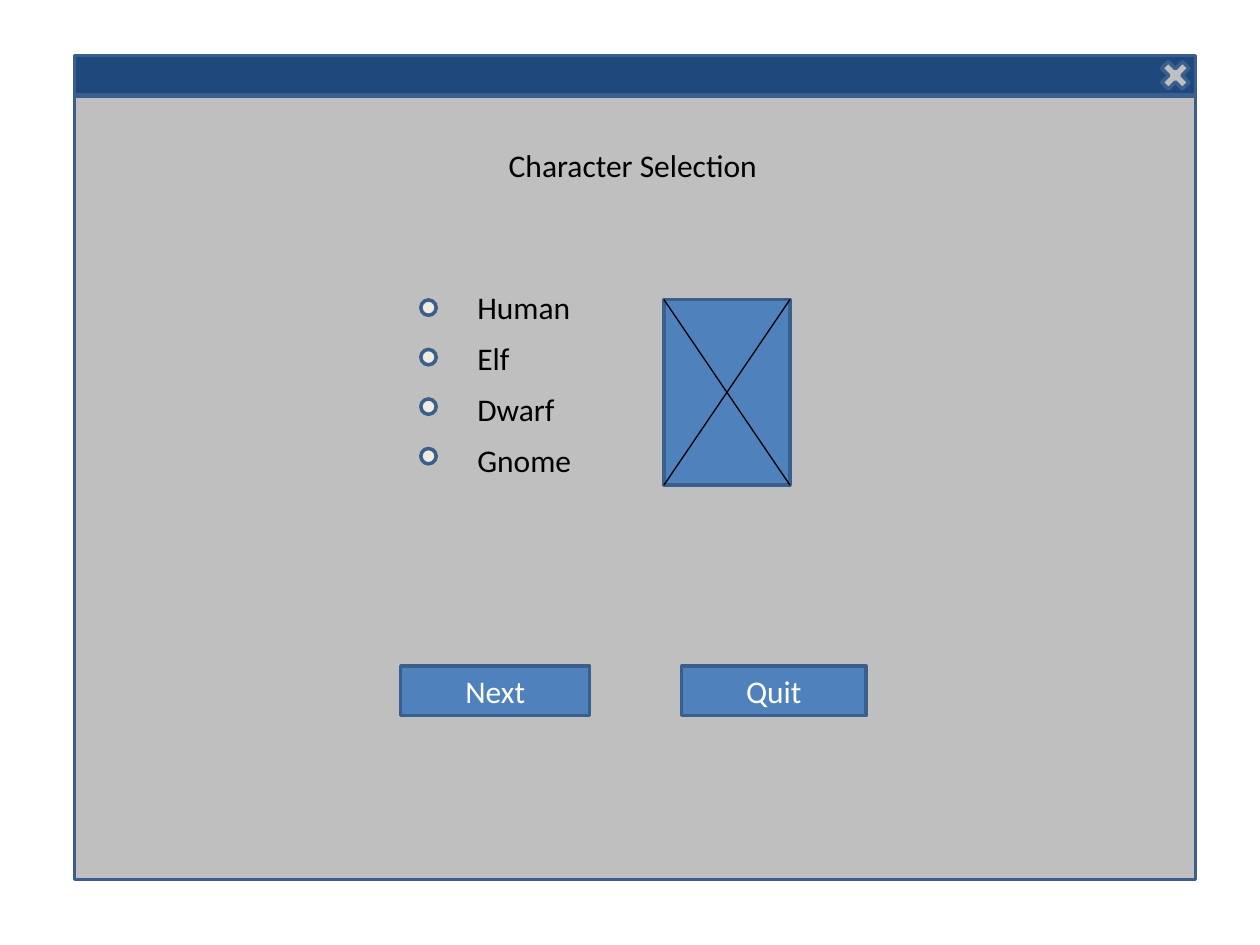
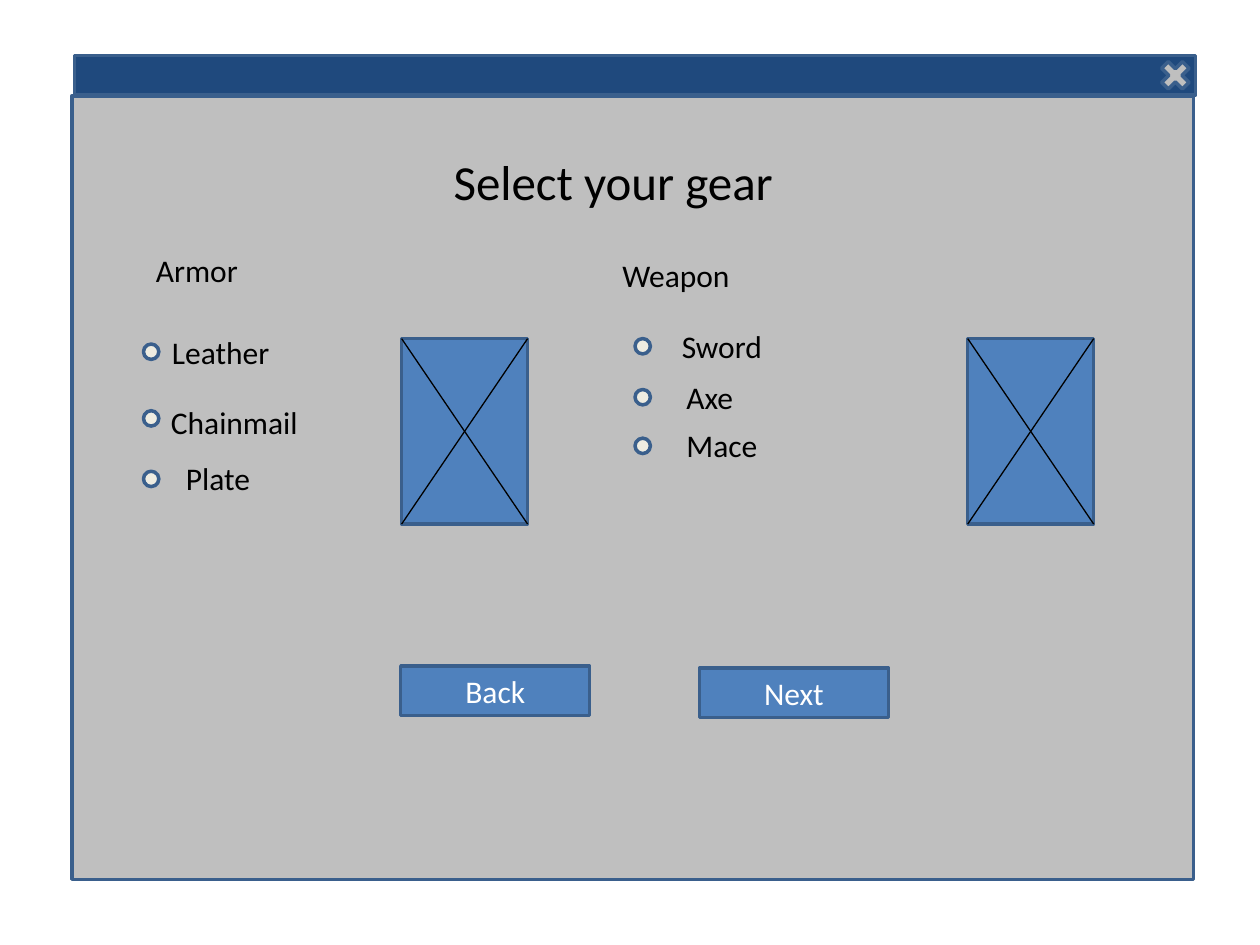
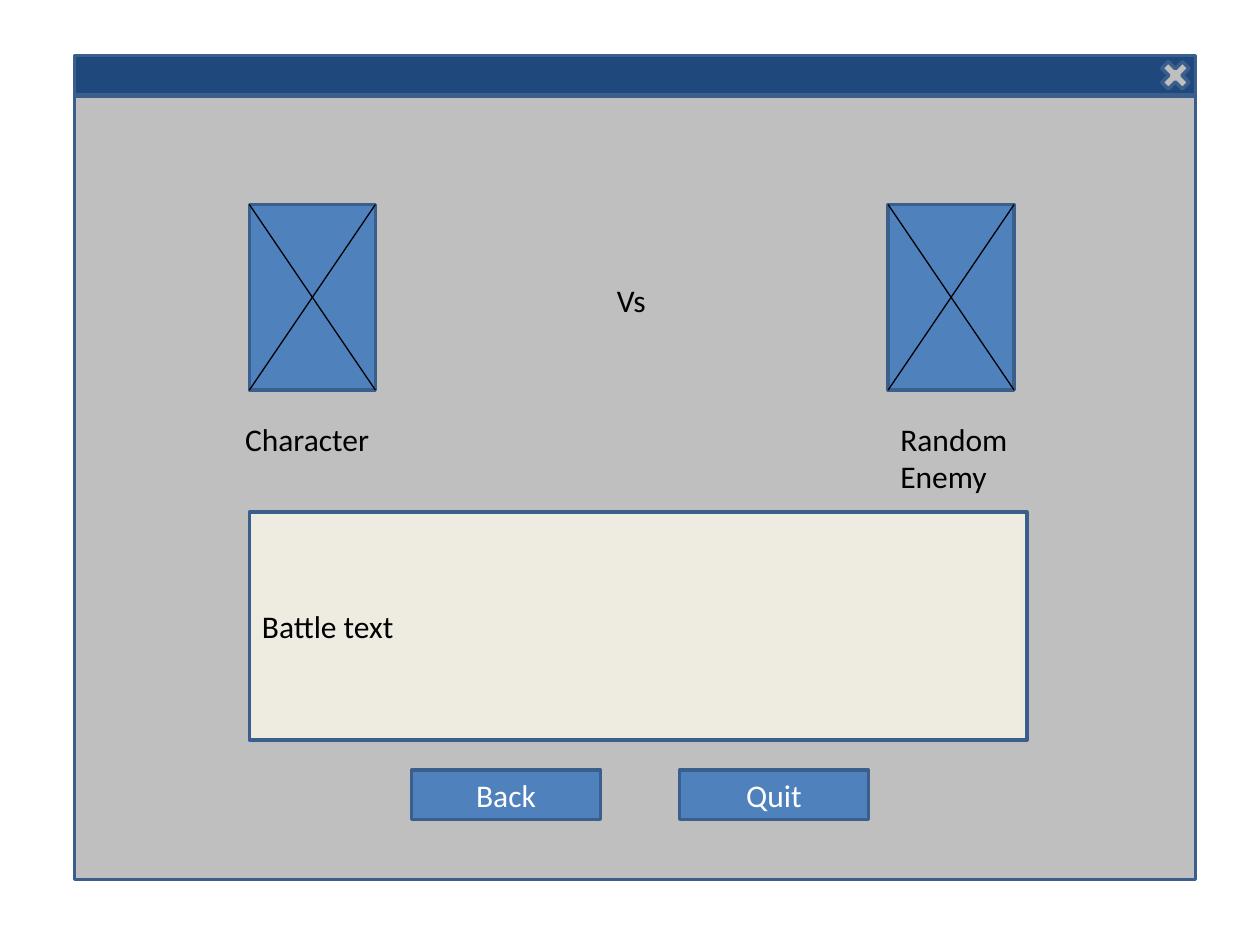
from lxml import etree
from pptx import Presentation
from pptx.dml.color import RGBColor
from pptx.enum.shapes import MSO_CONNECTOR, MSO_SHAPE
from pptx.enum.text import MSO_ANCHOR, MSO_AUTO_SIZE, PP_ALIGN
from pptx.oxml.ns import qn
from pptx.util import Pt

RECTANGLE = MSO_SHAPE.RECTANGLE
CROSS = MSO_SHAPE.MATH_MULTIPLY
DOT = MSO_SHAPE.FLOWCHART_CONNECTOR
STRAIGHT = MSO_CONNECTOR.STRAIGHT
LEFT, CENTER = PP_ALIGN.LEFT, PP_ALIGN.CENTER
TOP, MIDDLE = MSO_ANCHOR.TOP, MSO_ANCHOR.MIDDLE
FIT_SHAPE = MSO_AUTO_SIZE.SHAPE_TO_FIT_TEXT

TITLE_ONLY, BLANK = 5, 6
FONT = "Calibri"
COLORS = {
    "window": "BFBFBF",
    "bar": "1F497D",
    "outline": "3A5F8C",
    "accent": "4F81BD",
    "cream": "EEECE1",
    "black": "000000",
    "white": "FFFFFF",
}


def color(name):
    return RGBColor.from_string(COLORS[name])


def write_text(shape, text, size=18, ink="black", align=LEFT, anchor=TOP):
    frame = shape.text_frame
    frame.word_wrap = True
    frame.vertical_anchor = anchor
    paragraph = frame.paragraphs[0]
    paragraph.alignment = align
    run = paragraph.add_run()
    run.text = text
    run.font.name = FONT
    run.font.size = Pt(size)
    run.font.color.rgb = color(ink)


class Mockup:
    """Draws dialog windows, one per slide; all lengths are in points."""

    def __init__(self):
        self.presentation = Presentation()
        self.presentation.slide_width = Pt(720)
        self.presentation.slide_height = Pt(540)
        self.slide = None

    def window(self, layout, left=42.5):
        layouts = self.presentation.slide_layouts
        self.slide = self.presentation.slides.add_slide(layouts[layout])
        self.shape(RECTANGLE, left, 54.7, 640.8, 447.8, "window")
        self.shape(RECTANGLE, 42.5, 31.7, 640.8, 22.7, "bar")
        self.shape(CROSS, 660.3, 31.7, 22.7, 22.7, "window")

    def shape(self, kind, left, top, width, height, fill):
        shape = self.slide.shapes.add_shape(
            kind, Pt(left), Pt(top), Pt(width), Pt(height))
        shape.shadow.inherit = False
        shape.fill.solid()
        shape.fill.fore_color.rgb = color(fill)
        shape.line.color.rgb = color("outline")
        shape.line.width = Pt(2)
        return shape

    def title(self, text, left, top, width, height, size=18):
        title = self.slide.shapes.title
        title.left, title.top = Pt(left), Pt(top)
        title.width, title.height = Pt(width), Pt(height)
        write_text(title, text, size=size)
        title.text_frame.auto_size = FIT_SHAPE
        # The placeholder starts at the back, so bring it above the window.
        title.element.getparent().append(title.element)

    def label(self, text, left, top, width, height=29):
        box = self.slide.shapes.add_textbox(
            Pt(left), Pt(top), Pt(width), Pt(height))
        write_text(box, text)
        box.text_frame.auto_size = FIT_SHAPE

    def button(self, text, left, top, width=108):
        shape = self.shape(RECTANGLE, left, top, width, 28.2, "accent")
        write_text(shape, text, ink="white", align=CENTER, anchor=MIDDLE)

    def text_panel(self, text, left, top, width, height):
        shape = self.shape(RECTANGLE, left, top, width, height, "cream")
        write_text(shape, text, anchor=MIDDLE)

    def line(self, start, end):
        connector = self.slide.shapes.add_connector(
            STRAIGHT, *(Pt(value) for value in start + end))
        connector.line.color.rgb = color("black")
        connector.line.width = Pt(0.75)
        etree.SubElement(connector.element.spPr, qn("a:effectLst"))

    def portrait(self, left, top):
        """Crossed box that stands for a portrait."""
        width, height = 72, 106
        right, bottom = left + width, top + height
        self.shape(RECTANGLE, left, top, width, height, "accent")
        self.line((left, top), (right, bottom))
        self.line((right, top), (left, bottom))

    def radio_buttons(self, dot_left, options):
        """Each option is (text, dot top, text left, text top, text width)."""
        for text, dot_top, left, top, width in options:
            self.shape(DOT, dot_left, dot_top, 8.8, 8.8, "cream")
            self.label(text, left, top, width)


def character_selection(mockup):
    mockup.window(TITLE_ONLY)
    mockup.title("Character Selection", 283.5, 80, 158.5, 29)
    races = ["Human", "Elf", "Dwarf", "Gnome"]
    mockup.radio_buttons(240.5, [
        (race, 171.4 + 28.3 * row, 265.7, 161.3 + 29.1 * row, 82)
        for row, race in enumerate(races)])
    mockup.portrait(379.4, 171.2)
    mockup.button("Next", 229, 380.7)
    mockup.button("Quit", 389.5, 380.7, width=105.3)


def gear_selection(mockup):
    mockup.window(TITLE_ONLY, left=41.2)
    mockup.title("Select your gear", 252, 83, 317.5, 41, size=28)
    for left in (229.5, 553):
        mockup.portrait(left, 193.5)
    mockup.label("Armor", 82, 139.7, 111)
    mockup.radio_buttons(82, [
        ("Leather", 196.6, 91.2, 186.5, 82),
        ("Chainmail", 234.7, 90.6, 227, 102),
        ("Plate", 269.3, 99.2, 258.7, 102),
    ])
    mockup.label("Weapon", 348.5, 142.8, 153.5)
    mockup.radio_buttons(362.9, [
        ("Sword", 193.5, 382.5, 183.2, 85),
        ("Axe", 222.6, 385.2, 212.4, 62.6),
        ("Mace", 250.4, 385.2, 240, 62.6),
    ])
    mockup.button("Back", 229, 380.7)
    mockup.button("Next", 399.7, 381.7)


def battle(mockup):
    mockup.window(BLANK)
    for left in (142.5, 507.5):
        mockup.portrait(left, 116.9)
    mockup.label("Vs", 345.5, 157.3, 96.5)
    mockup.label("Character", 133, 236.2, 113)
    mockup.label("Random Enemy", 507.4, 236.2, 79.2, height=51)
    mockup.text_panel("Battle text", 142.6, 292.5, 444.2, 130.5)
    mockup.button("Back", 235.2, 440)
    mockup.button("Quit", 388.3, 440)


def main():
    mockup = Mockup()
    for draw_screen in (character_selection, gear_selection, battle):
        draw_screen(mockup)
    mockup.presentation.save("out.pptx")


if __name__ == "__main__":
    main()
